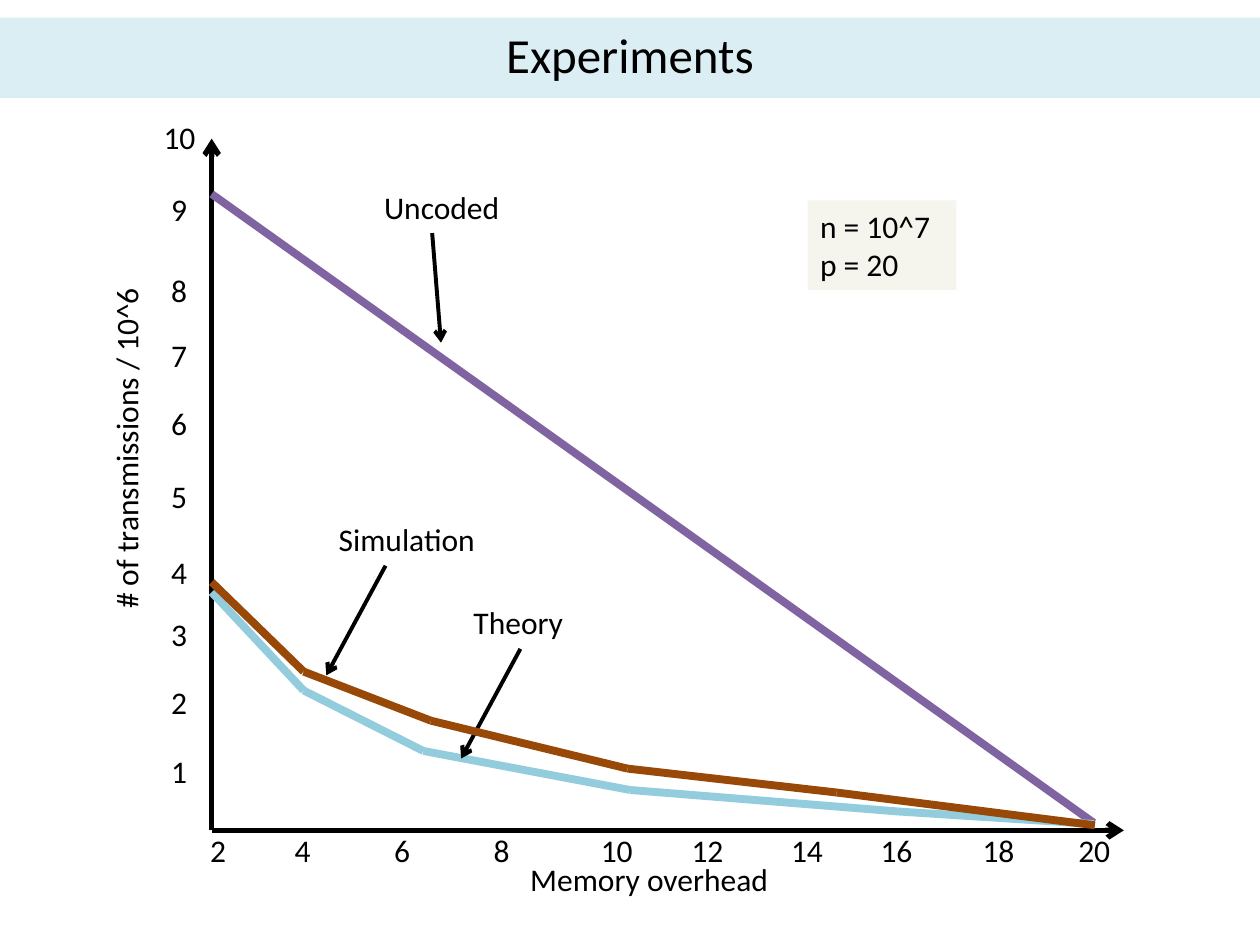
import dataclasses
import itertools

import lxml.etree
import pptx
import pptx.dml.color
import pptx.enum.shapes
import pptx.enum.text
import pptx.oxml.ns
import pptx.util

Inches = pptx.util.Inches
Pt = pptx.util.Pt
qn = pptx.oxml.ns.qn


@dataclasses.dataclass(frozen=True)
class Theme:
    font: str = "Calibri"
    text: str = "000000"
    title_fill: str = "DBEEF4"
    note_fill: str = "F5F4ED"
    uncoded: str = "8064A2"
    theory: str = "93CDDD"
    simulation: str = "984807"
    title_size: float = 28
    body_size: float = 18
    axis_width: float = 3
    curve_width: float = 4.5
    pointer_width: float = 2.25


THEME = Theme()
LABEL_HEIGHT = 0.4
ORIGIN = (1.68, 6.59)
X_TICKS_TOP = 6.55
X_TICKS = {2: 1.57, 4: 2.24, 6: 3.03, 8: 3.82, 10: 4.67,
           12: 5.39, 14: 6.18, 16: 6.89, 18: 7.7, 20: 8.46}
Y_TICKS = {1: 5.92, 2: 5.37, 3: 4.83, 4: 4.34, 5: 3.74,
           6: 3.16, 7: 2.62, 8: 2.1, 9: 1.46, 10: 0.89}


def rgb(color):
    return pptx.dml.color.RGBColor.from_string(color)


def write_paragraph(paragraph, text, size):
    run = paragraph.add_run()
    run.text = text
    run.font.name = THEME.font
    run.font.size = Pt(size)
    run.font.color.rgb = rgb(THEME.text)


def add_label(shapes, text, left, top, width, wrap=True, rotation=0):
    label = shapes.add_textbox(Inches(left), Inches(top), Inches(width), Inches(LABEL_HEIGHT))
    label.rotation = rotation
    label.text_frame.word_wrap = wrap
    label.text_frame.auto_size = pptx.enum.text.MSO_AUTO_SIZE.SHAPE_TO_FIT_TEXT
    write_paragraph(label.text_frame.paragraphs[0], text, THEME.body_size)


def add_panel(shapes, lines, left, top, width, height, fill, size, alignment):
    panel = shapes.add_shape(pptx.enum.shapes.MSO_SHAPE.RECTANGLE,
                             Inches(left), Inches(top), Inches(width), Inches(height))
    panel.shadow.inherit = False
    panel.fill.solid()
    panel.fill.fore_color.rgb = rgb(fill)
    panel.line.fill.background()
    frame = panel.text_frame
    frame.vertical_anchor = pptx.enum.text.MSO_ANCHOR.MIDDLE
    for index, text in enumerate(lines):
        paragraph = frame.add_paragraph() if index else frame.paragraphs[0]
        paragraph.alignment = alignment
        write_paragraph(paragraph, text, size)
    return frame


def add_line(shapes, start, end, color, width, arrow=False):
    connector = shapes.add_connector(pptx.enum.shapes.MSO_CONNECTOR.STRAIGHT,
                                     *map(Inches, start + end))
    connector.line.color.rgb = rgb(color)
    connector.line.width = Pt(width)
    if arrow:
        outline = connector.line._get_or_add_ln()
        lxml.etree.SubElement(outline, qn("a:tailEnd"), type="arrow")
    properties = connector._element.spPr
    lxml.etree.SubElement(properties, qn("a:effectLst"))


def add_curve(slide, name, points, color, label_at, pointer):
    shapes = slide.shapes.add_group_shape().shapes
    for start, end in itertools.pairwise(points):
        add_line(shapes, start, end, color, THEME.curve_width)
    add_label(shapes, name, *label_at, 3.23)
    add_line(shapes, *pointer, THEME.text, THEME.pointer_width, arrow=True)


def add_axes(slide):
    shapes = slide.shapes
    for value, left in X_TICKS.items():
        add_label(shapes, str(value), left, X_TICKS_TOP, 0.33 if value < 10 else 0.46, wrap=False)
    add_label(shapes, "Memory overhead", 4.11, 6.78, 2.28)
    for end in ((8.92, ORIGIN[1]), (ORIGIN[0], 1.1)):
        add_line(shapes, ORIGIN, end, THEME.text, THEME.axis_width, arrow=True)
    add_label(shapes, "# of transmissions / 10^6", -0.38, 3.35, 2.76, rotation=270)
    for value, top in Y_TICKS.items():
        left, width = (1.26, 0.33) if value < 10 else (1.2, 0.46)
        add_label(shapes, str(value), left, top, width, wrap=False)


def main():
    presentation = pptx.Presentation()
    presentation.slide_width = Inches(10)
    presentation.slide_height = Inches(7.5)
    slide = presentation.slides.add_slide(presentation.slide_layouts[6])

    add_axes(slide)
    note = add_panel(slide.shapes, ["n = 10^7", "p = 20"], 6.41, 1.59, 1.18, 0.71,
                     THEME.note_fill, THEME.body_size, pptx.enum.text.PP_ALIGN.LEFT)
    note.word_wrap = False
    add_curve(slide, "Uncoded", [(1.68, 1.54), (8.68, 6.53)], THEME.uncoded,
              (2.95, 1.44), ((3.43, 1.85), (3.5, 2.72)))
    add_curve(slide, "Theory",
              [(1.68, 4.7), (2.41, 5.48), (3.36, 5.96), (5, 6.27), (7.12, 6.44), (8.68, 6.54)],
              THEME.theory, (3.66, 4.74), ((4.13, 5.15), (3.66, 6.02)))
    add_curve(slide, "Simulation",
              [(1.68, 4.62), (2.41, 5.33), (3.42, 5.72), (4.98, 6.1), (6.64, 6.29), (8.69, 6.55)],
              THEME.simulation, (2.59, 4.08), ((3.06, 4.49), (2.59, 5.36)))
    title = add_panel(slide.shapes, ["Experiments"], 0, 0.14, 10, 0.64,
                      THEME.title_fill, THEME.title_size, pptx.enum.text.PP_ALIGN.CENTER)
    title.paragraphs[0].line_spacing = 0.9

    presentation.save("out.pptx")


if __name__ == "__main__":
    main()
